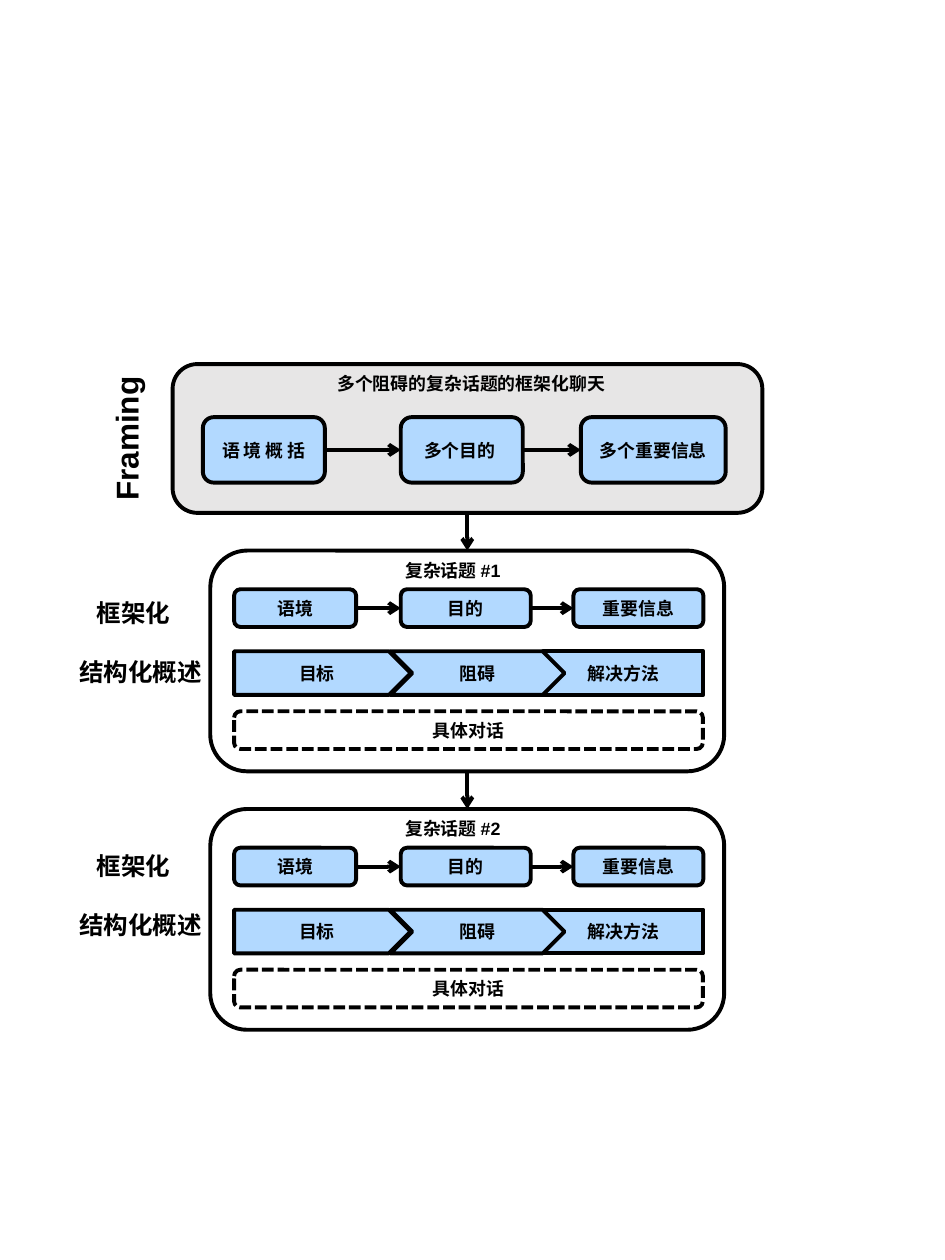
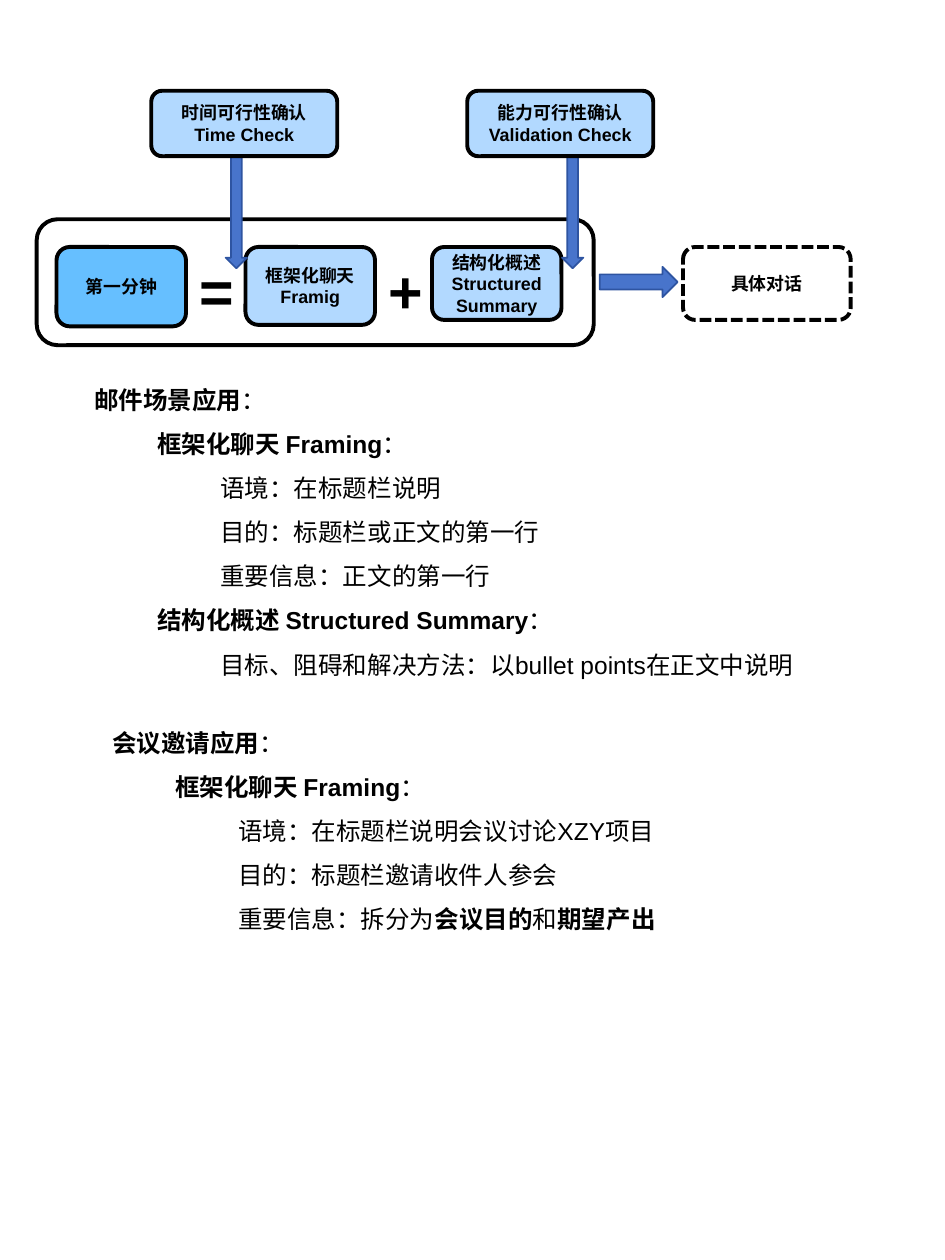
from lxml.etree import SubElement
from pptx import Presentation
from pptx.dml.color import RGBColor
from pptx.enum.dml import MSO_LINE
from pptx.enum.shapes import MSO_CONNECTOR, MSO_SHAPE as SHAPE
from pptx.enum.text import MSO_ANCHOR as ANCHOR, PP_ALIGN as ALIGN
from pptx.oxml.ns import qn
from pptx.util import Cm, Pt

# Shared look
BLACK, GREY, LIGHT, STRONG = "000000", "E7E6E6", "B2D9FF", "66BFFF"
ARROW_FILL, ARROW_LINE = "4874CB", "2E54A1"
SMALL, LABEL, LARGE, SIGN = 10.2, 14, 18, 33.8
OUTLINE = 2.25
INDENT = Cm(1.27)


def rgb(value):
    return RGBColor.from_string(value)


def apply(obj, formats):
    for name, value in formats.items():
        setattr(obj, name, value)


def add_run(p, text, size, bold=True):
    r = p.add_run()
    r.text = text
    apply(r.font, {"name": "Arial", "size": Pt(size), "bold": bold})
    r.font.color.rgb = rgb(BLACK)


def add_box(s, x, y, w, h, text="", fill=None, kind=SHAPE.ROUNDED_RECTANGLE,
            line=BLACK, width=OUTLINE, dashed=False):
    """Outlined preset shape with centred bold text, one paragraph a line."""
    sp = s.shapes.add_shape(kind, Cm(x), Cm(y), Cm(w), Cm(h))
    sp.shadow.inherit = False
    if fill:
        sp.fill.solid()
        sp.fill.fore_color.rgb = rgb(fill)
    else:
        sp.fill.background()
    sp.line.color.rgb = rgb(line)
    sp.line.width = Pt(width)
    if dashed:
        sp.line.dash_style = MSO_LINE.SQUARE_DOT
    tf = sp.text_frame
    apply(tf, {"word_wrap": True, "vertical_anchor": ANCHOR.MIDDLE})
    for i, row in enumerate(text.split("\n") if text else []):
        p = tf.add_paragraph() if i else tf.paragraphs[0]
        p.alignment = ALIGN.CENTER
        add_run(p, row, SMALL)
    return sp


def add_label(s, x, y, w, h, text, size, rotation=0):
    sp = s.shapes.add_textbox(Cm(x), Cm(y), Cm(w), Cm(h))
    sp.rotation = rotation
    sp.text_frame.word_wrap = True
    add_run(sp.text_frame.paragraphs[0], text, size)


def add_arrow(s, x1, y1, x2, y2):
    cx = s.shapes.add_connector(MSO_CONNECTOR.STRAIGHT, Cm(x1), Cm(y1), Cm(x2), Cm(y2))
    cx.line.color.rgb = rgb(BLACK)
    cx.line.width = Pt(OUTLINE)
    SubElement(cx.line._get_or_add_ln(), qn("a:tailEnd"), type="arrow")
    SubElement(cx._element.spPr, qn("a:effectLst"))


def add_block_arrow(s, x, y, w, h, kind):
    add_box(s, x, y, w, h, fill=ARROW_FILL, kind=kind, line=ARROW_LINE, width=1)


def add_chain(s, y, h, steps):
    """Row of boxes (x, width, text) joined by arrows."""
    for x, w, text in steps:
        add_box(s, x, y, w, h, text, LIGHT)
    for (x, w, _), (next_x, _, _) in zip(steps, steps[1:]):
        add_arrow(s, x + w, y + h / 2, next_x, y + h / 2)


def add_topic(s, top, number, label_top):
    """Panel of one complex topic with the arrow into it and its side labels."""
    add_arrow(s, 9.42, top - 0.75, 9.42, top)
    add_box(s, 4.24, top, 10.36, 4.45)
    add_label(s, 7.92, top + 0.05, 2.59, 0.69, f"复杂话题 #{number}", SMALL)
    add_chain(s, top + 0.78, 0.76, [(4.72, 2.46, "语境"), (8.08, 2.62, "目的"),
                                    (11.56, 2.62, "重要信息")])
    for x, w, text, kind in [(4.72, 3.56, "目标", SHAPE.PENTAGON),
                             (10.95, 3.23, "解决方法", SHAPE.RECTANGLE),
                             (7.87, 3.51, "阻碍", SHAPE.CHEVRON)]:
        add_box(s, x, top + 2.03, w, 0.88, text, LIGHT, kind)
    add_box(s, 4.72, top + 3.24, 9.45, 0.76, "具体对话", dashed=True)
    add_label(s, 1.7, label_top, 3.05, 0.86, "框架化", LABEL)
    add_label(s, 1.35, label_top + 1.18, 3.05, 0.86, "结构化概述", LABEL)


def add_outline(s, x, y, h, rows):
    """Indented text (level, text); parts between asterisks are bold."""
    sp = s.shapes.add_textbox(Cm(x), Cm(y), Cm(17.93), Cm(h))
    tf = sp.text_frame
    tf.word_wrap = True
    for i, (level, text) in enumerate(rows):
        p = tf.add_paragraph() if i else tf.paragraphs[0]
        apply(p, {"line_spacing": 1.5, "level": max(level - 1, 0)})
        pPr = p._p.get_or_add_pPr()
        pPr.set("marL", str(INDENT * max(level - 1, 0)))
        pPr.set("indent", str(INDENT * min(level, 1)))
        for j, part in enumerate(text.split("*")):
            if part:
                add_run(p, part, LABEL, bold=j % 2 == 1)


def build_topics(s):
    # Framing panel
    add_box(s, 3.48, 7.34, 11.89, 3, fill=GREY)
    add_label(s, 6.55, 7.39, 6.22, 0.69, "多个阻碍的复杂话题的框架化聊天", SMALL)
    add_chain(s, 8.41, 1.32, [(4.09, 2.46, "语 境 概 括"), (8.08, 2.46, "多个目的 "),
                              (11.71, 2.92, "多个重要信息")])
    add_label(s, 1.02, 8.31, 3.05, 1.02, "Framing", LARGE, 270)
    # Topics
    add_topic(s, 11.1, 1, 11.94)
    add_topic(s, 16.31, 2, 17.04)


def build_first_minute(s):
    # Equation inside its panel
    for x, h, text, fill in [(1.14, 1.6, "第一分钟", STRONG),
                             (4.95, 1.57, "框架化聊天\nFramig", LIGHT),
                             (8.71, 1.47, "结构化概述\nStructured Summary", LIGHT)]:
        add_box(s, x, 4.98, 2.61, h, text, fill)
    for x, sign in [(3.78, "="), (7.59, "+")]:
        add_label(s, x, 5, 0.76, 1.7, sign, SIGN)
    add_box(s, 0.74, 4.42, 11.23, 2.54)
    # Checks pointing down into it
    for x, arrow_x, text in [(3.05, 4.55, "时间可行性确认\nTime Check"),
                             (9.42, 11.33, "能力可行性确认Validation Check")]:
        add_block_arrow(s, arrow_x, 3.15, 0.43, 2.26, SHAPE.DOWN_ARROW)
        add_box(s, x, 1.83, 3.75, 1.32, text, LIGHT)
    # Dialogue that follows
    add_block_arrow(s, 12.09, 5.38, 1.57, 0.61, SHAPE.RIGHT_ARROW)
    add_box(s, 13.77, 4.98, 3.38, 1.47, "具体对话", dashed=True)
    # Uses
    add_outline(s, 1.65, 7.34, 6.53, [
        (0, "*邮件场景应用*："),
        (1, "*框架化聊天 Framing*："),
        (2, "语境：在标题栏说明"),
        (2, "目的：标题栏或正文的第一行"),
        (2, "重要信息：正文的第一行"),
        (1, "*结构化概述 Structured Summary*："),
        (2, "目标、阻碍和解决方法：以bullet points在正文中说明"),
    ])
    add_outline(s, 2.01, 14.25, 4.75, [
        (0, "*会议邀请应用*："),
        (1, "*框架化聊天 Framing*："),
        (2, "语境：在标题栏说明会议讨论XZY项目"),
        (2, "目的：标题栏邀请收件人参会"),
        (2, "重要信息：拆分为*会议目的*和*期望产出*"),
    ])


def main():
    prs = Presentation()
    apply(prs, {"slide_width": Cm(19.05), "slide_height": Cm(25.4)})
    for build in (build_topics, build_first_minute):
        build(prs.slides.add_slide(prs.slide_layouts[6]))
    prs.save("out.pptx")


if __name__ == "__main__":
    main()
